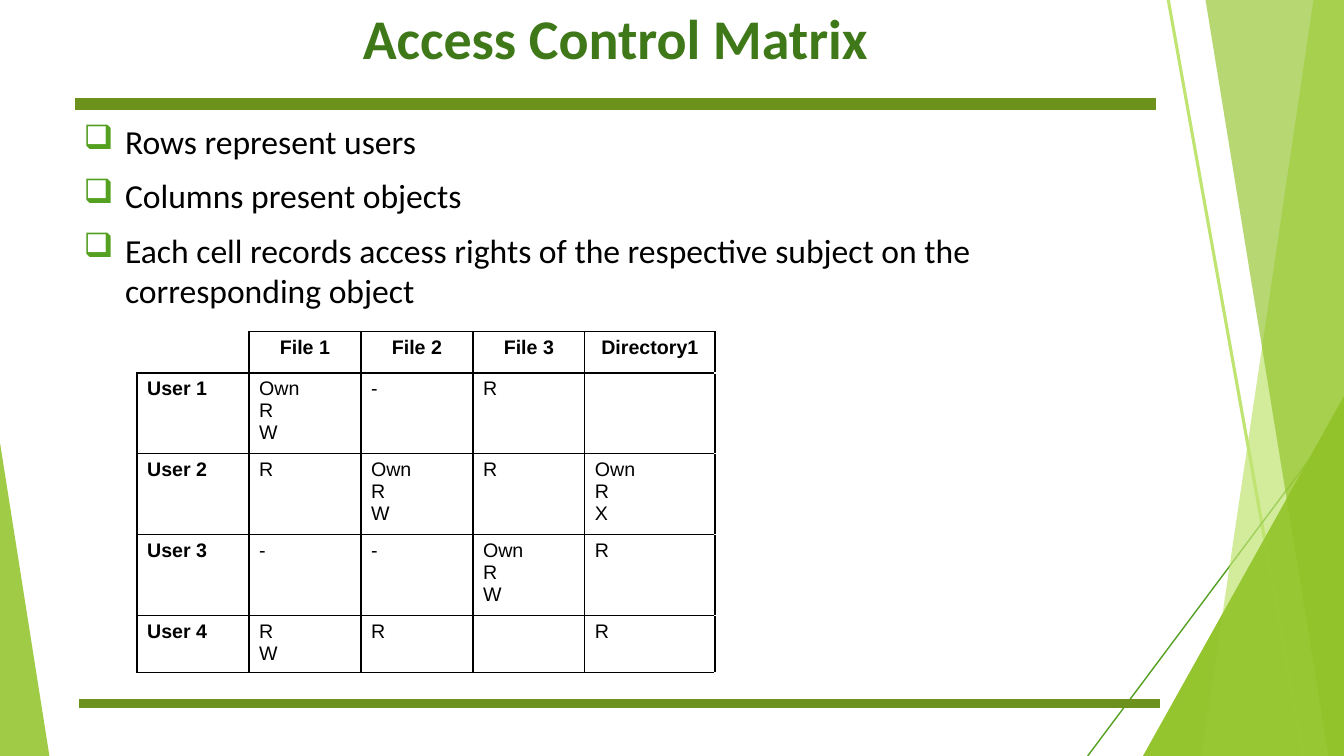
from dataclasses import dataclass

from lxml import etree
from pptx import Presentation
from pptx import util as u
from pptx.dml.color import RGBColor
from pptx.enum import shapes, text
from pptx.oxml import ns


@dataclass(frozen=True)
class Theme:
    leaf: str = "90C226"
    lime: str = "BFE471"
    green: str = "54A021"
    bar: str = "6C911C"
    heading: str = "3F7819"
    ink: str = "000000"
    paper: str = "FFFFFF"
    heading_font: str = "Calibri"
    table_font: str = "Arial"
    title_size: int = 40
    body_size: int = 24
    table_size: int = 14


THEME = Theme()
WIDTH, HEIGHT = u.Inches(13.333), u.Inches(7.5)

# Left edge and width shared by title, points and bars, in percent of the slide
CONTENT_LEFT, CONTENT_WIDTH = 5.55, 80.48

POINTS = [
    "Rows represent users",
    "Columns present objects",
    "Each cell records access rights of the respective subject "
    "on the corresponding object",
]
RIGHTS = [
    ["", "File 1", "File 2", "File 3", "Directory1"],
    ["User 1", "Own\nR\nW", "-", "R", ""],
    ["User 2", "R", "Own\nR\nW", "R", "Own\nR\nX"],
    ["User 3", "-", "-", "Own\nR\nW", "R"],
    ["User 4", "R\nW", "R", "", "R"],
]
COLUMN_SHARES = [8.33] * 4 + [9.68, 7.05] + [8.33] * 2
ROW_SHARES = [5.47] + [10.05] * 3 + [7.2]


def across(percent):
    return round(WIDTH * percent / 100)


def down(percent):
    return round(HEIGHT * percent / 100)


def area(left, top, width, height):
    return across(left), down(top), across(width), down(height)


def rgb(colour):
    return RGBColor.from_string(colour)


def add_child(parent, tag, **attributes):
    return etree.SubElement(parent, ns.qn(tag), attributes)


def style_runs(paragraph, font, size, colour, bold=False):
    for run in paragraph.runs:
        run.font.name, run.font.size = font, u.Pt(size)
        run.font.bold = bold
        run.font.color.rgb = rgb(colour)


def clear_margins(frame):
    frame.margin_left = frame.margin_right = 0
    frame.margin_top = frame.margin_bottom = 0
    frame.vertical_anchor = text.MSO_ANCHOR.TOP
    frame.word_wrap = True


def paint(facet, colour, opacity):
    facet.shadow.inherit = False
    facet.fill.solid()
    facet.fill.fore_color.rgb = rgb(colour)
    facet.line.fill.background()
    tint = next(facet._element.spPr.iter(ns.qn("a:srgbClr")))
    add_child(tint, "a:alpha", val=str(opacity * 1000))


def add_triangle(slide, place, apex, opacity):
    facet = slide.shapes.add_shape(shapes.MSO_SHAPE.ISOSCELES_TRIANGLE, *area(*place))
    facet.adjustments[0] = apex
    paint(facet, THEME.leaf, opacity)


def add_band(slide, corners, colour, opacity):
    points = [(across(x), down(y)) for x, y in corners]
    builder = slide.shapes.build_freeform(*points[0])
    builder.add_line_segments(points[1:], close=True)
    paint(builder.convert_to_shape(), colour, opacity)


def add_line(slide, start, end, colour, weight):
    line = slide.shapes.add_connector(
        shapes.MSO_CONNECTOR.STRAIGHT,
        across(start[0]), down(start[1]), across(end[0]), down(end[1]))
    line.line.color.rgb = rgb(colour)
    line.line.width = u.Pt(weight)
    add_child(line._element.spPr, "a:effectLst")


def add_facets(slide):
    right_corner = (85.05, 52.4, 14.95, 47.6)
    add_triangle(slide, right_corner, 1, 80)
    add_triangle(slide, (0, 58.53, 3.68, 41.47), 0, 85)
    add_line(slide, (86.93, 0), (96.98, 100), THEME.lime, 2.25)
    add_line(slide, (100, 54.67), (80.93, 100), THEME.green, 1)
    add_band(slide, [(97.73, 0), (100, 0), (100, 100), (89.4, 100)], THEME.lime, 70)
    add_band(slide, [(89.7, 0), (100, 0), (100, 100), (98.85, 100)], THEME.leaf, 65)
    add_triangle(slide, right_corner, 1, 80)


def add_bar(slide, left, y, weight):
    add_line(slide, (left, y), (left + CONTENT_WIDTH, y), THEME.bar, weight)


def set_title(slide, wording):
    title = slide.shapes.title
    title.left, title.top, title.width, title.height = area(
        CONTENT_LEFT, 0.4, CONTENT_WIDTH, 13.47)
    frame = title.text_frame
    frame.text = wording
    clear_margins(frame)
    heading = frame.paragraphs[0]
    heading.alignment = text.PP_ALIGN.CENTER
    style_runs(heading, THEME.heading_font, THEME.title_size, THEME.heading, bold=True)


def add_points(slide, points):
    frame = slide.shapes.add_textbox(
        *area(CONTENT_LEFT, 16, CONTENT_WIDTH, 75.87)).text_frame
    frame.text = "\n".join(points)
    clear_margins(frame)
    for index, point in enumerate(frame.paragraphs):
        point.space_before = u.Pt(10 if index else 0)
        properties = point._p.get_or_add_pPr()
        properties.set("marL", str(u.Inches(0.5)))
        properties.set("indent", str(u.Inches(-0.41)))
        add_child(add_child(properties, "a:buClr"), "a:srgbClr", val=THEME.green)
        add_child(properties, "a:buChar", char="❑")
        style_runs(point, THEME.heading_font, THEME.body_size, THEME.ink)


def in_matrix(row, column):
    """The blank corner and the spare columns lie outside the ruled matrix."""
    return (0 <= row < len(RIGHTS) and 0 <= column < len(RIGHTS[0])
            and (row, column) != (0, 0))


def rule_cell(cell, row, column):
    neighbours = {"a:lnL": (row, column - 1), "a:lnR": (row, column + 1),
                  "a:lnT": (row - 1, column), "a:lnB": (row + 1, column)}
    properties = cell._tc.get_or_add_tcPr()
    for position, (side, neighbour) in enumerate(neighbours.items()):
        ruled = in_matrix(row, column) or in_matrix(*neighbour)
        edge = add_child(properties, side, w=str(u.Pt(1)))
        add_child(add_child(edge, "a:solidFill"), "a:srgbClr",
                  val=THEME.ink if ruled else THEME.paper)
        properties.insert(position, edge)


def add_matrix(slide):
    matrix = slide.shapes.add_table(
        len(ROW_SHARES), len(COLUMN_SHARES),
        *area(10.2, 43.87, sum(COLUMN_SHARES), sum(ROW_SHARES))).table
    matrix.first_row = matrix.horz_banding = False
    for column, share in zip(matrix.columns, COLUMN_SHARES):
        column.width = across(share)
    for row, share in zip(matrix.rows, ROW_SHARES):
        row.height = down(share)
    for r, row in enumerate(matrix.rows):
        for c, cell in enumerate(row.cells):
            cell.fill.background()
            rule_cell(cell, r, c)
            if not in_matrix(r, c):
                continue
            cell.text_frame.text = RIGHTS[r][c]
            for entry in cell.text_frame.paragraphs:
                if r == 0:
                    entry.alignment = text.PP_ALIGN.CENTER
                style_runs(entry, THEME.table_font, THEME.table_size, THEME.ink,
                           bold=r == 0 or c == 0)


def main():
    deck = Presentation()
    deck.slide_width, deck.slide_height = WIDTH, HEIGHT
    slide = deck.slides.add_slide(deck.slide_layouts.get_by_name("Title Only"))

    # Decoration behind the content
    add_facets(slide)
    add_bar(slide, CONTENT_LEFT, 13.73, 8.75)
    add_bar(slide, CONTENT_LEFT + 0.3, 93.07, 6)

    # Content
    set_title(slide, "Access Control Matrix")
    add_points(slide, POINTS)
    add_matrix(slide)

    deck.save("out.pptx")


if __name__ == "__main__":
    main()
